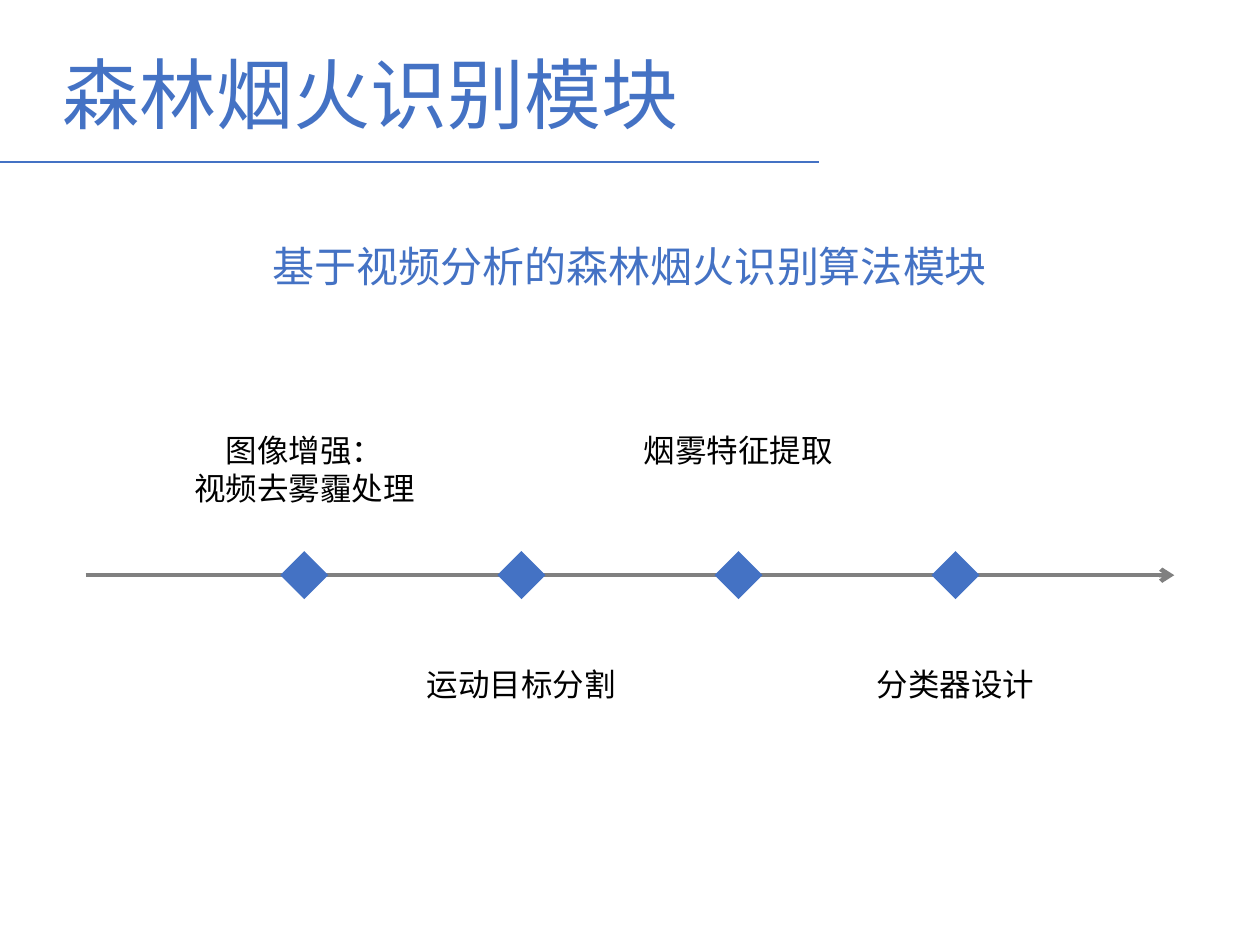
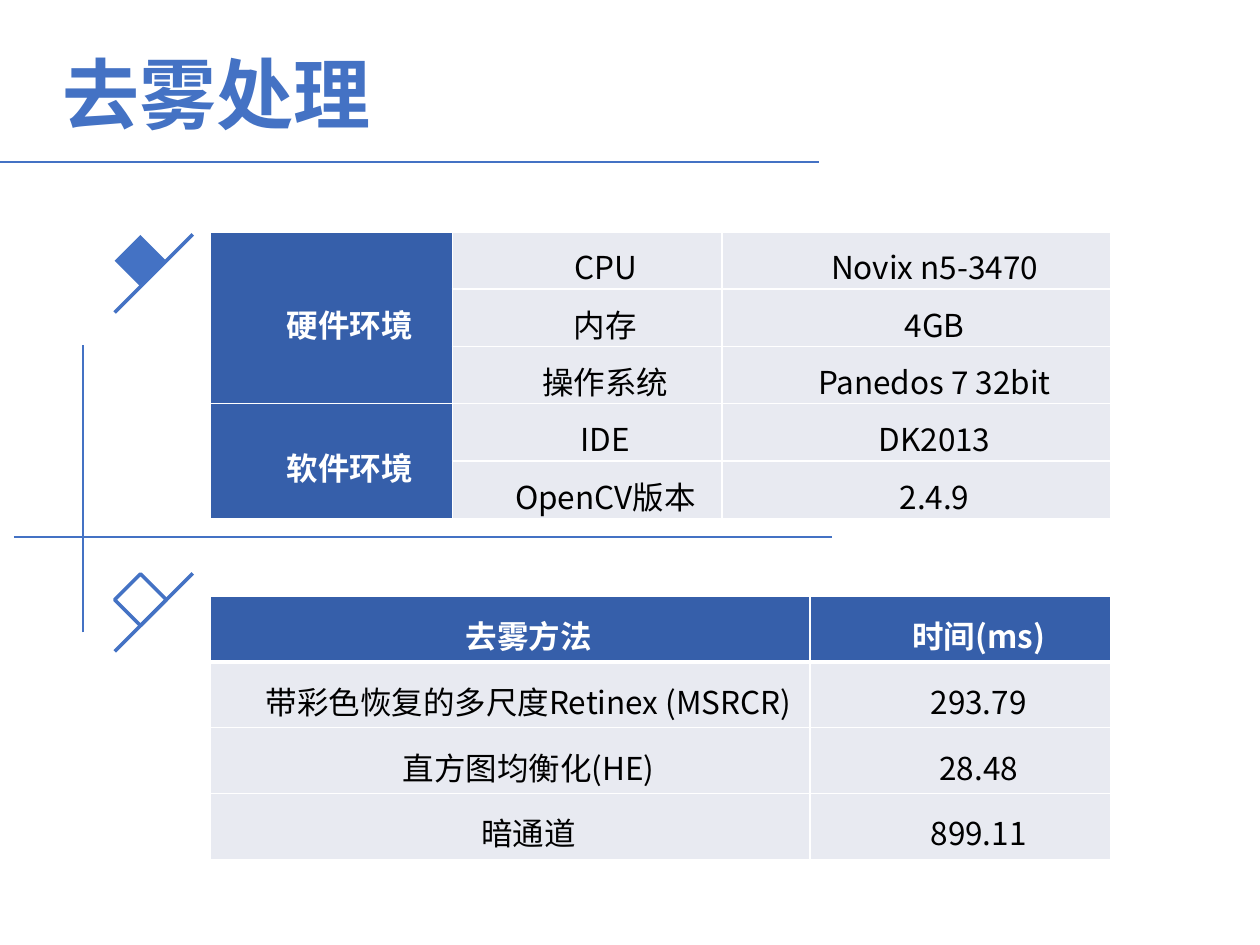
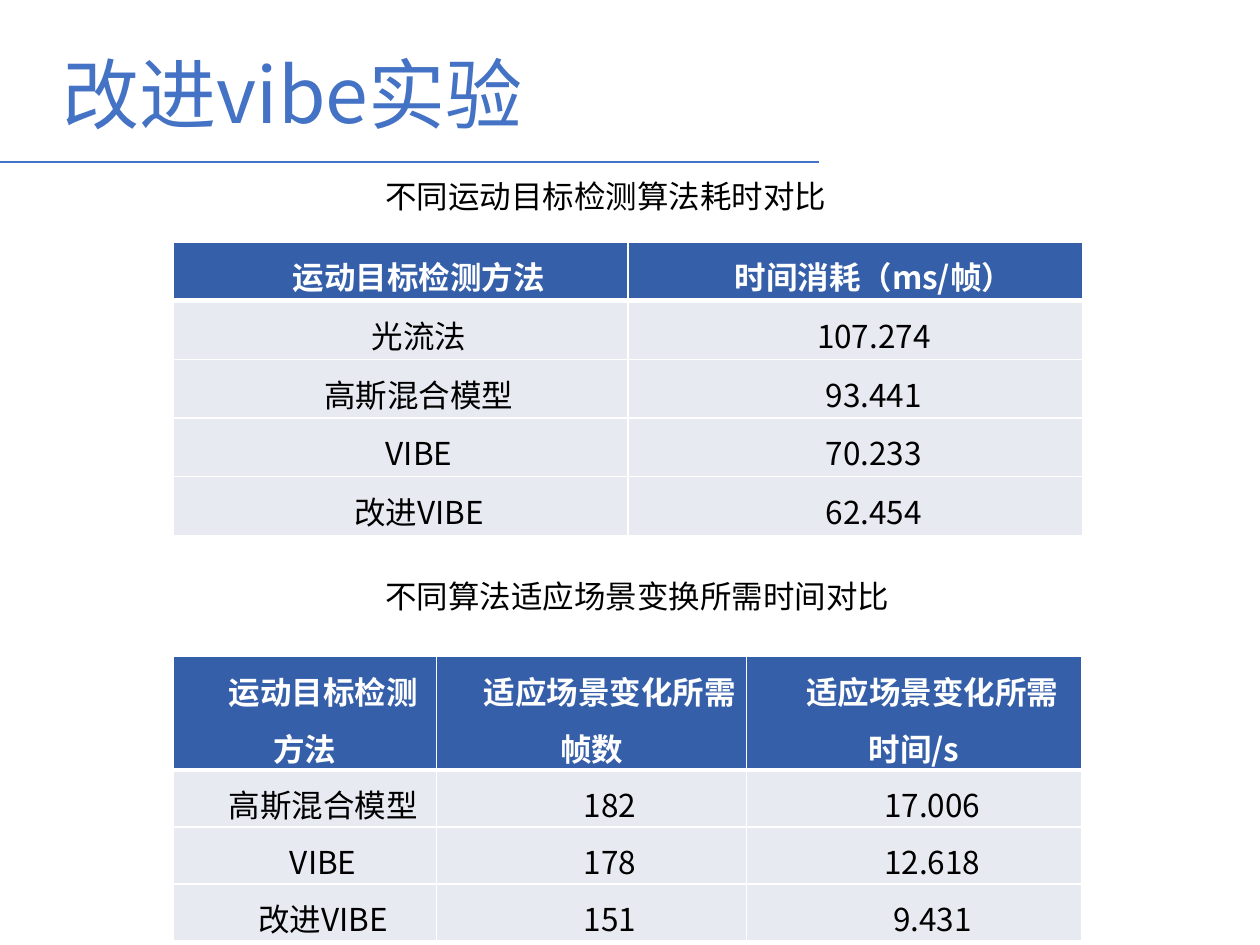
from lxml import etree
from pptx import Presentation
from pptx.dml.color import RGBColor
from pptx.enum.shapes import MSO_CONNECTOR, MSO_SHAPE
from pptx.enum.text import MSO_ANCHOR, PP_ALIGN
from pptx.oxml.ns import qn
from pptx.util import Inches, Pt

LINE = MSO_CONNECTOR.STRAIGHT
RECT = MSO_SHAPE.RECTANGLE
LEFT, MID = PP_ALIGN.LEFT, PP_ALIGN.CENTER
TOP, CENTER = MSO_ANCHOR.TOP, MSO_ANCHOR.MIDDLE

COLS, ROWS = 100, 75
WIDE, HIGH = Inches(10), Inches(7.5)
FONT = "Noto Sans CJK SC"
BLUE, DEEP, PALE = "4472C4", "365FAA", "E8EAF1"
GRAY, BLACK, WHITE = "808080", "000000", "FFFFFF"


def tint(code):
    """Turn a hex string into a colour."""
    return RGBColor.from_string(code)


def col(num):
    """Length of a number of grid columns."""
    return round(WIDE * num / COLS)


def row(num):
    """Length of a number of grid rows."""
    return round(HIGH * num / ROWS)


def place(left, top, width, height):
    """Turn grid units into a slide box."""
    return col(left), row(top), col(width), row(height)


def add_run(para, text, size, code, bold=False):
    """Add one styled run to a paragraph."""
    run = para.add_run()
    run.text = text
    font = run.font
    font.name, font.size, font.bold = FONT, Pt(size), bold
    font.color.rgb = tint(code)
    etree.SubElement(font._element, qn("a:ea")).set("typeface", FONT)


def add_text(slide, box, lines, size=18, code=BLACK, align=MID, bold=False):
    """Add a text box with one paragraph per line."""
    frame = slide.shapes.add_textbox(*place(*box)).text_frame
    frame.word_wrap = True
    for num, text in enumerate(lines):
        para = frame.add_paragraph() if num else frame.paragraphs[0]
        para.alignment = align
        para.line_spacing = Pt(size * 1.2)
        add_run(para, text, size, code, bold)


def add_line(slide, start, end, width=1.25, code=BLUE, arrow=False):
    """Draw a straight line, with an arrowhead if asked."""
    line = slide.shapes.add_connector(
        LINE, col(start[0]), row(start[1]), col(end[0]), row(end[1]))
    line.line.color.rgb = tint(code)
    line.line.width = Pt(width)
    if arrow:
        tail = etree.SubElement(line.line._get_or_add_ln(), qn("a:tailEnd"))
        tail.set("type", "arrow")
    etree.SubElement(line._element.spPr, qn("a:effectLst"))


def add_gem(slide, mid, side, solid=True):
    """Draw a square turned on its corner around a centre."""
    left, top = mid[0] - side / 2, mid[1] - side / 2
    gem = slide.shapes.add_shape(RECT, *place(left, top, side, side))
    gem.shadow.inherit = False
    gem.rotation = 45
    if solid:
        gem.fill.solid()
        gem.fill.fore_color.rgb = tint(BLUE)
        gem.line.fill.background()
    else:
        gem.fill.background()
        gem.line.color.rgb = tint(BLUE)
        gem.line.width = Pt(2)


def add_mark(slide, top, solid):
    """Draw a gem resting on a slanted line."""
    add_gem(slide, (11.15, top + 2.1), 2.9, solid)
    add_line(slide, (15.3, top), (9.1, top + 6.2), 2)


def add_edge(cell, side, width):
    """Give a cell a white border on one side."""
    edge = etree.SubElement(cell._tc.get_or_add_tcPr(), qn("a:ln" + side))
    edge.set("w", str(Pt(width)))
    fill = etree.SubElement(edge, qn("a:solidFill"))
    etree.SubElement(fill, qn("a:srgbClr")).set("val", WHITE)


def style_cell(cell, text, head, edges, anchor):
    """Fill, frame and label one cell."""
    for side, width in edges.items():
        add_edge(cell, side, width)
    cell.fill.solid()
    cell.fill.fore_color.rgb = tint(DEEP if head else PALE)
    cell.margin_left = cell.margin_right = Inches(0.07)
    cell.margin_top = cell.margin_bottom = 0
    cell.vertical_anchor = anchor
    para = cell.text_frame.paragraphs[0]
    para.alignment, para.line_spacing = MID, 1.25
    para._p.get_or_add_pPr().set("indent", str(Inches(0.29)))
    if text:
        add_run(para, text, 18, WHITE if head else BLACK, head)


def add_grid(slide, spot, cols, rows, data, anchor=TOP, side=False):
    """Add a table headed by its top row or its first column."""
    box = place(*spot, sum(cols), sum(rows))
    grid = slide.shapes.add_table(len(rows), len(cols), *box).table
    grid.horz_banding = False
    grid.first_row, grid.first_col = not side, side
    for part, width in zip(grid.columns, cols):
        part.width = col(width)
    for part, height in zip(grid.rows, rows):
        part.height = row(height)
    for y, texts in enumerate(data):
        for x, text in enumerate(texts):
            head = x == 0 if side else y == 0
            edges = {"L": 1, "R": 1}
            if y == 0:
                edges["T"] = 1
            edges["B"] = 3 if head and not side else 1
            style_cell(grid.cell(y, x), text, head, edges, anchor)
    return grid


def add_page(deck, title, bold=False):
    """Add a blank slide with the shared title and rule."""
    slide = deck.slides.add_slide(deck.slide_layouts[6])
    add_line(slide, (0, 12.85), (65, 12.85))
    add_text(slide, (4, 3.2, 80.3, 7.1), [title], 44, BLUE, LEFT, bold)
    return slide


def add_steps(deck):
    """Build the timeline of the module's steps."""
    slide = add_page(deck, "森林烟火识别模块")
    add_text(slide, (7.1, 18.6, 85.8, 5),
             ["基于视频分析的森林烟火识别算法模块"], 24, BLUE)
    add_line(slide, (6.8, 45.65), (93.2, 45.65), 2.5, GRAY, True)
    steps = [["图像增强：", "视频去雾霾处理"], ["运动目标分割"],
             ["烟雾特征提取"], ["分类器设计"]]
    for num, lines in enumerate(steps):
        mid = 24.15 + 17.23 * num
        add_gem(slide, (mid, 45.65), 2.7)
        top = 52.3 if num % 2 else 33.7
        add_text(slide, (mid - 11.2, top, 22.4, 4 * len(lines)), lines)


def add_haze(deck):
    """Build the setup and haze removal tables."""
    slide = add_page(deck, "去雾处理", True)
    add_mark(slide, 18.6, True)
    add_mark(slide, 45.5, False)
    add_line(slide, (1.1, 42.6), (66, 42.6))
    add_line(slide, (6.6, 50.2), (6.6, 27.4))
    setup = [("硬件环境", "CPU", "Novix n5-3470"),
             ("", "内存", "4GB"),
             ("", "操作系统", "Panedos 7 32bit"),
             ("软件环境", "IDE", "DK2013"),
             ("", "OpenCV版本", "2.4.9")]
    grid = add_grid(slide, (16.7, 18.4), (19.2, 21.4, 30.85),
                    [4.55] * 5, setup, CENTER, True)
    for first, last in ((0, 2), (3, 4)):
        grid.cell(first, 0).merge(grid.cell(last, 0))
    times = [("去雾方法", "时间(ms)"),
             ("带彩色恢复的多尺度Retinex (MSRCR)", "293.79"),
             ("直方图均衡化(HE)", "28.48"),
             ("暗通道", "899.11")]
    add_grid(slide, (16.7, 47.3), (47.6, 23.85), [5.23] * 4, times, CENTER)


def add_tests(deck):
    """Build the two tables of test results."""
    slide = add_page(deck, "改进vibe实验")
    costs = [("运动目标检测方法", "时间消耗（ms/帧）"),
             ("光流法", "107.274"),
             ("高斯混合模型", "93.441"),
             ("VIBE", "70.233"),
             ("改进VIBE", "62.454")]
    add_grid(slide, (13.75, 19.2), (36.1, 36.1), [4.66] * 5, costs)
    shifts = [("运动目标检测方法", "适应场景变化所需帧数",
               "适应场景变化所需时间/s"),
              ("高斯混合模型", "182", "17.006"),
              ("VIBE", "178", "12.618"),
              ("改进VIBE", "151", "9.431")]
    add_grid(slide, (13.75, 52.1), (20.9, 24.6, 26.6),
             [9] + [4.53] * 3, shifts)
    heads = ((13.6, "不同运动目标检测算法耗时对比"),
             (45.3, "不同算法适应场景变换所需时间对比"))
    for top, text in heads:
        add_text(slide, (29.6, top, 44, 4), [text], align=LEFT)


def main():
    """Build and save the deck."""
    deck = Presentation()
    deck.slide_width, deck.slide_height = WIDE, HIGH
    add_steps(deck)
    add_haze(deck)
    add_tests(deck)
    deck.save("out.pptx")


if __name__ == "__main__":
    main()
